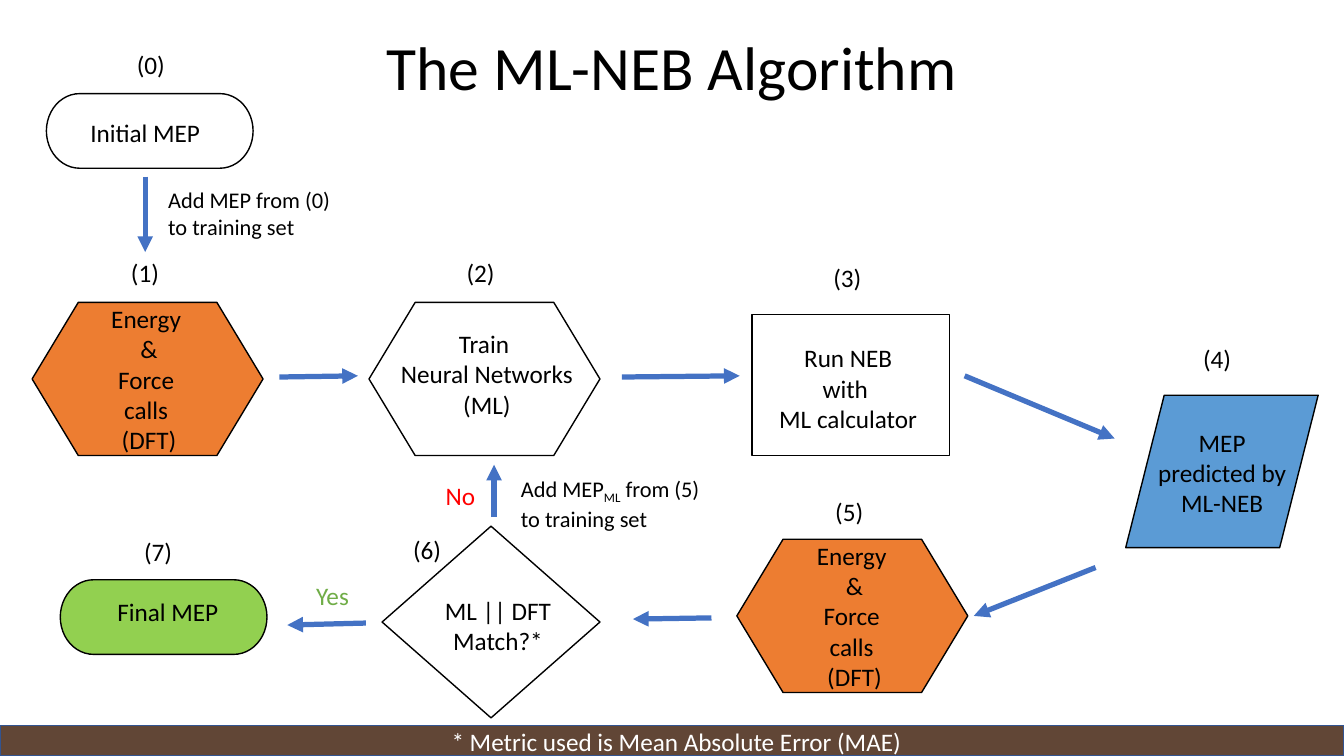
"""Build the ML-NEB algorithm flowchart slide."""
from dataclasses import dataclass

import lxml.etree
import pptx
import pptx.dml.color
import pptx.enum.shapes
import pptx.enum.text
import pptx.oxml.ns
import pptx.slide
import pptx.text.text
import pptx.util

Cm = pptx.util.Cm
Pt = pptx.util.Pt
Kind = pptx.enum.shapes.MSO_SHAPE
Align = pptx.enum.text.PP_ALIGN
Anchor = pptx.enum.text.MSO_ANCHOR

FONT = "Calibri"
BLACK, WHITE, RED, GREEN = "000000", "FFFFFF", "FF0000", "70AD47"
ORANGE, BLUE, LIME, BROWN = "ED7D31", "5B9BD5", "92D050", "614636"
BORDER, ARROW = "325491", "4472C4"
SLIDE_WIDTH, SLIDE_HEIGHT = 33.87, 19.05
DFT_TEXT = "Energy \n&\nForce \ncalls \n(DFT)"


@dataclass
class Node:
    kind: Kind
    left: float
    top: float
    width: float
    height: float
    fill: str = ""
    line: str = BLACK


@dataclass
class Label:
    text: str
    left: float
    top: float
    width: float
    height: float = 1.02
    size: int = 18
    color: str = BLACK
    align: Align = Align.CENTER
    wrap: bool = True


@dataclass
class Arrow:
    start_x: float
    start_y: float
    tip_x: float
    tip_y: float


NODES = [
    Node(Kind.RECTANGLE, 0, 18.29, SLIDE_WIDTH, 0.76, BROWN, BORDER),
    Node(Kind.FLOWCHART_TERMINATOR, 1.17, 2.36, 5.21, 1.88),
    Node(Kind.FLOWCHART_PREPARATION, 0.81, 7.62, 5.82, 3.86, ORANGE),
    Node(Kind.FLOWCHART_PREPARATION, 9.3, 7.62, 5.82, 3.86),
    Node(Kind.FLOWCHART_PROCESS, 18.95, 7.92, 4.98, 3.56),
    Node(Kind.FLOWCHART_DATA, 28.37, 9.96, 4.85, 3.84, BLUE),
    Node(Kind.FLOWCHART_PREPARATION, 18.57, 13.59, 5.82, 3.86, ORANGE),
    Node(Kind.FLOWCHART_DECISION, 9.63, 13.26, 5.49, 4.83),
    Node(Kind.FLOWCHART_TERMINATOR, 1.52, 14.61, 5.21, 1.88, LIME),
]

LABELS = [
    Label("Initial MEP", 1.3, 2.82, 4.72),
    Label(DFT_TEXT, 1.47, 7.52, 4.57, 4.11),
    Label("Train \vNeural Networks\n(ML)", 9.78, 8.15, 4.98, 3.33),
    Label("Run NEB\vwith \nML calculator", 18.95, 8.51, 4.85, 3.33),
    Label("MEP\npredicted by\nML-NEB", 28.63, 10.64, 4.34, 4.11),
    Label(DFT_TEXT, 19.25, 13.49, 4.57, 4.11),
    Label("ML || DFT\nMatch?*", 9.63, 14.88, 5.84, 2.57),
    Label("Final MEP", 2.11, 14.91, 4.24),
    Label("Yes", 7.11, 14.5, 2.54, color=GREEN),
    Label("No", 10.46, 11.99, 2.29, color=RED),
    Label("Add MEP from (0)\nto training set", 3.99, 4.57, 4.65, 1.63, 16,
          align=Align.LEFT, wrap=False),
    Label("* Metric used is Mean Absolute Error (MAE)", 11.13, 18.19, 22.7,
          color=WHITE, align=Align.LEFT),
]

TITLE = Label("The ML-NEB Algorithm", 0, -0.05, SLIDE_WIDTH, 3.68, 44)
RETRAIN = Label("Add MEP\nto training set", 12.88, 11.84, 7.44, 1.63, 16,
                align=Align.LEFT)

STEP_CORNERS = [
    (3.2, 1.12), (3.05, 6.35), (11.51, 6.35), (20.75, 6.48),
    (30.07, 8.53), (20.8, 12.37), (10.16, 13.34), (3.38, 13.39),
]

ARROWS = [
    Arrow(3.66, 4.45, 3.66, 6.35),
    Arrow(7.04, 9.5, 9.02, 9.47),
    Arrow(15.67, 9.5, 18.64, 9.47),
    Arrow(24.31, 9.47, 28.09, 11.05),
    Arrow(27.61, 14.3, 24.54, 15.52),
    Arrow(17.93, 15.57, 15.95, 15.6),
    Arrow(9.22, 15.7, 7.24, 15.75),
    Arrow(12.45, 13.03, 12.45, 11.71),
]


def rgb(value: str) -> pptx.dml.color.RGBColor:
    """Turn a hex string into a colour."""
    return pptx.dml.color.RGBColor.from_string(value)


def format_span(span: pptx.text.text._Run, label: Label) -> None:
    """Apply a label's font to one run."""
    span.font.name = FONT
    span.font.size = Pt(label.size)
    span.font.color.rgb = rgb(label.color)


def draw_node(page: pptx.slide.Slide, node: Node) -> None:
    """Draw one flowchart shape."""
    shape = page.shapes.add_shape(
        node.kind, Cm(node.left), Cm(node.top), Cm(node.width), Cm(node.height))
    shape.shadow.inherit = False
    if node.fill:
        shape.fill.solid()
        shape.fill.fore_color.rgb = rgb(node.fill)
    else:
        shape.fill.background()
    shape.line.color.rgb = rgb(node.line)
    shape.line.width = Pt(1)


def draw_label(page: pptx.slide.Slide, label: Label) -> pptx.text.text.TextFrame:
    """Draw one text box and return its text frame."""
    box = page.shapes.add_textbox(
        Cm(label.left), Cm(label.top), Cm(label.width), Cm(label.height))
    frame = box.text_frame
    frame.word_wrap = label.wrap
    frame.text = label.text
    for para in frame.paragraphs:
        para.alignment = label.align
        for span in para.runs:
            format_span(span, label)
    return frame


def draw_title(page: pptx.slide.Slide) -> None:
    """Draw the slide title."""
    frame = draw_label(page, TITLE)
    frame.vertical_anchor = Anchor.MIDDLE
    frame.paragraphs[0].line_spacing = 0.9


def draw_retrain_note(page: pptx.slide.Slide) -> None:
    """Draw the retraining note with its subscript."""
    para = draw_label(page, RETRAIN).paragraphs[0]
    for text, baseline in (("ML", -25000), (" from (5)", 0)):
        span = para.add_run()
        span.text = text
        format_span(span, RETRAIN)
        span._r.get_or_add_rPr().set("baseline", str(baseline))


def draw_arrow(page: pptx.slide.Slide, arrow: Arrow) -> None:
    """Draw one straight arrow."""
    connector = page.shapes.add_connector(
        pptx.enum.shapes.MSO_CONNECTOR.STRAIGHT,
        Cm(arrow.start_x), Cm(arrow.start_y), Cm(arrow.tip_x), Cm(arrow.tip_y))
    connector.line.color.rgb = rgb(ARROW)
    connector.line.width = Pt(3.75)
    qn = pptx.oxml.ns.qn
    line = connector.line._get_or_add_ln()
    lxml.etree.SubElement(line, qn("a:tailEnd"), type="triangle")
    lxml.etree.SubElement(connector._element.spPr, qn("a:effectLst"))


def main() -> None:
    """Assemble and save the deck."""
    deck = pptx.Presentation()
    deck.slide_width, deck.slide_height = Cm(SLIDE_WIDTH), Cm(SLIDE_HEIGHT)
    page = deck.slides.add_slide(deck.slide_layouts[6])
    for node in NODES:
        draw_node(page, node)
    draw_title(page)
    for label in LABELS:
        draw_label(page, label)
    draw_retrain_note(page)
    for step, (left, top) in enumerate(STEP_CORNERS):
        draw_label(page, Label(f"({step})", left, top, 1.22,
                               align=Align.LEFT, wrap=False))
    for arrow in ARROWS:
        draw_arrow(page, arrow)
    deck.save("out.pptx")


if __name__ == "__main__":
    main()
